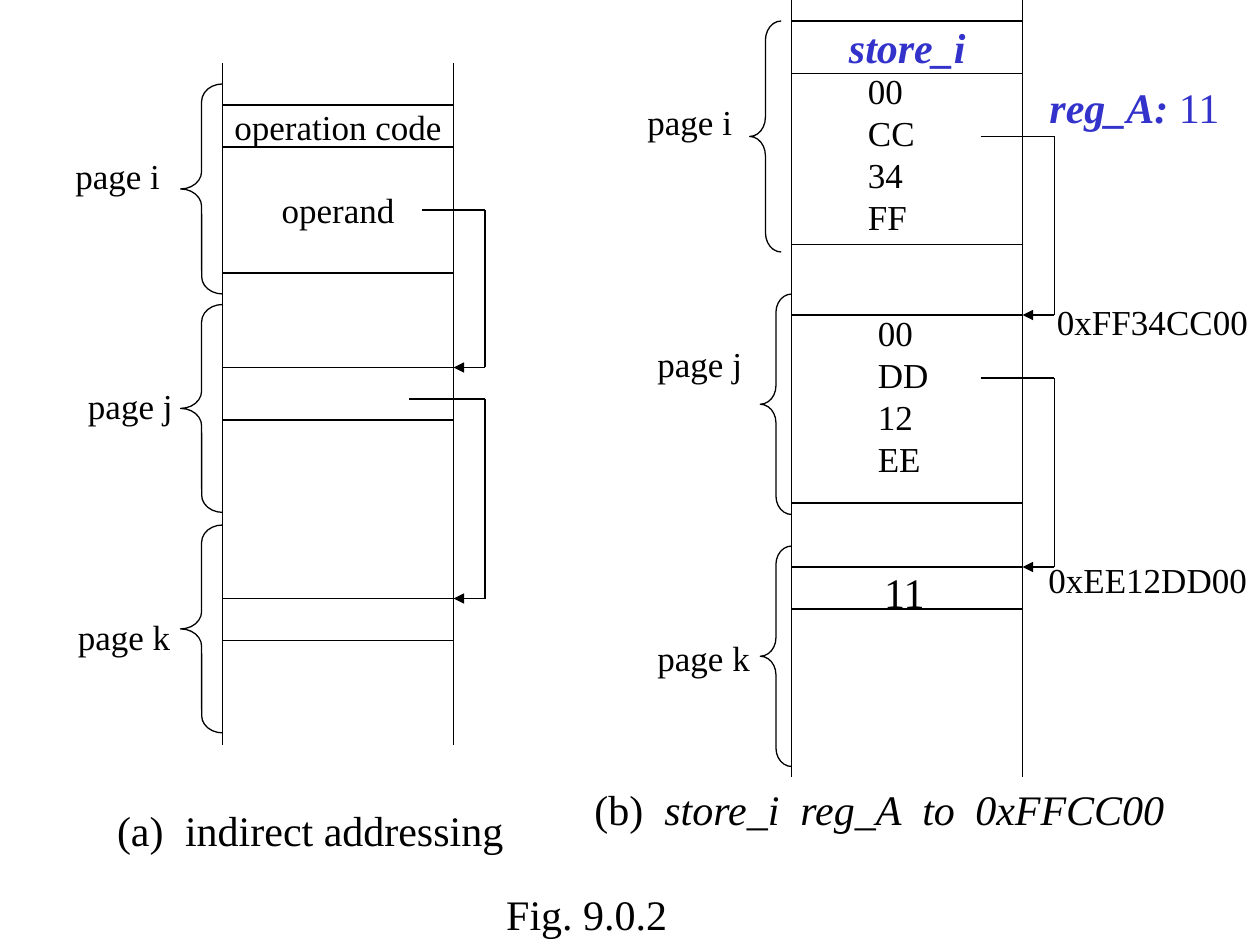
"""Draw the indirect addressing figure: memory pages on the left, a store_i example on the right."""
from lxml.etree import SubElement
from pptx import Presentation
from pptx.dml.color import RGBColor
from pptx.enum.shapes import MSO_CONNECTOR, MSO_SHAPE
from pptx.enum.text import MSO_ANCHOR, MSO_AUTO_SIZE, PP_ALIGN
from pptx.oxml.ns import qn
from pptx.util import Pt

BLACK = RGBColor(0x00, 0x00, 0x00)
WHITE = RGBColor(0xFF, 0xFF, 0xFF)
BLUE = RGBColor(0x33, 0x33, 0xCC)
CELL_WIDTH = 132

deck = Presentation()
deck.slide_width, deck.slide_height = Pt(720), Pt(540)
page = deck.slides.add_slide(deck.slide_layouts[6])


def add_line(start, end, arrow=False):
    line = page.shapes.add_connector(MSO_CONNECTOR.STRAIGHT, *map(Pt, start + end))
    line.line.color.rgb = BLACK
    line.line.width = Pt(0.75)
    properties = line._element.spPr
    if arrow:
        SubElement(properties.find(qn("a:ln")), qn("a:tailEnd"), type="triangle")
    SubElement(properties, qn("a:effectLst"))


def write(frame, lines, size, color=BLACK, align=PP_ALIGN.LEFT, stops=()):
    for index, spans in enumerate(lines):
        para = frame.add_paragraph() if index else frame.paragraphs[0]
        para.alignment = align
        if stops:
            tabs = SubElement(para._p.get_or_add_pPr(), qn("a:tabLst"))
            for stop in stops:
                SubElement(tabs, qn("a:tab"), pos=str(Pt(stop)), algn="l")
        para.font.name = "Times New Roman"
        para.font.size = Pt(size)
        para.font.color.rgb = color
        for text, bold, italic in spans:
            span = para.add_run()
            span.text = text
            span.font.bold, span.font.italic = bold, italic


# left, top, bottom, cells (top, height, text, size, color, emphasis),
# pointers (start, row, target, bend), braces (left, top, width, height)
memories = [
    (127.2, 36, 426,
     [(60, 24, "operation code", 20, BLACK, False), (84, 72, "operand", 20, BLACK, False),
      (210, 30, "", 20, BLACK, False), (342, 24, "", 20, BLACK, False)],
     [(241.2, 120, 210, 277.2), (233.9, 228, 342, 277.2)],
     [(103.2, 48, 24, 120), (103.2, 174, 24, 118.8), (103.2, 300, 24, 118.8)]),
    (452.4, 0, 444,
     [(12, 30, "store_i", 24, BLUE, True), (42, 97.8, "", 20, BLACK, False),
      (180, 107.4, "", 20, BLACK, False), (324, 24, "", 20, BLACK, False)],
     [(560.4, 78, 180, 602.4), (560.4, 216, 324, 602.4)],
     [(428.4, 12, 18, 132), (434.4, 168, 18, 126), (434.4, 312, 18, 126)]),
]
for left, top, bottom, cells, pointers, braces in memories:
    right = left + CELL_WIDTH
    for cell_top, height, text, size, color, emphasis in cells:
        cell = page.shapes.add_shape(
            MSO_SHAPE.RECTANGLE, Pt(left), Pt(cell_top), Pt(CELL_WIDTH), Pt(height))
        cell.shadow.inherit = False
        cell.fill.solid()
        cell.fill.fore_color.rgb = WHITE
        cell.line.color.rgb = BLACK
        cell.line.width = Pt(0.75)
        if text:
            cell.text_frame.word_wrap = False
            cell.text_frame.vertical_anchor = MSO_ANCHOR.MIDDLE
            write(cell.text_frame, [[(text, emphasis, emphasis)]], size, color, PP_ALIGN.CENTER)
    for side in (left, right):
        add_line((side, top), (side, bottom))
    for start, row, target, bend in pointers:
        add_line((start, row), (bend, row))
        add_line((bend, row), (bend, target))
        add_line((bend, target), (right, target), arrow=True)
    for brace_left, brace_top, width, height in braces:
        brace = page.shapes.add_shape(
            MSO_SHAPE.LEFT_BRACE, Pt(brace_left), Pt(brace_top), Pt(width), Pt(height))
        brace.shadow.inherit = False
        brace.fill.background()
        brace.line.color.rgb = BLACK
        brace.line.width = Pt(0.75)
        brace.adjustments[0] = height / 12 / width

labels = [
    (36, 85, 62.6, "page i"), (43.2, 216, 62.6, "page j"), (37.4, 348, 67, "page k"),
    (362.9, 54, 62.6, "page i"), (368.6, 192, 62.6, "page j"), (368.6, 360, 67, "page k"),
    (596.9, 168, 123.1, "0xFF34CC00"), (592, 315.4, 127.4, "0xEE12DD00"),
    (488.9, 36, 41, "00\nCC\n34\nFF"), (494.6, 174.2, 43.2, "00\nDD\n12\nEE"),
]
boxes = [(left, top, width, [[(line, False, False)] for line in text.split("\n")], 20, BLACK, ())
         for left, top, width, text in labels]
boxes += [
    (59.8, 456, 234.7, [[("(a)\tindirect addressing", False, False)]], 24, BLACK, (38.9,)),
    (332.6, 444, 348.5,
     [[("(b)\t", False, False), ("store_i\treg_A\tto\t0xFFCC00", False, True)]],
     24, BLACK, (40, 117.7, 187.4, 217.7)),
    (282.2, 504, 112.3, [[("Fig. 9.0.2", False, False)]], 24, BLACK, ()),
    (498.2, 320.4, 38.2, [[("11", False, False)]], 24, BLACK, ()),
    (592.6, 43.2, 112.3, [[("reg_A: ", True, True), ("11", False, False)]], 24, BLUE, ()),
]
for left, top, width, lines, size, color, stops in boxes:
    height = 7.2 + len(lines) * size * 1.2
    box = page.shapes.add_textbox(Pt(left), Pt(top), Pt(width), Pt(height))
    box.text_frame.word_wrap = True
    box.text_frame.auto_size = MSO_AUTO_SIZE.NONE
    box.text_frame.margin_right = Pt(0)
    write(box.text_frame, lines, size, color, stops=stops)

deck.save("out.pptx")
